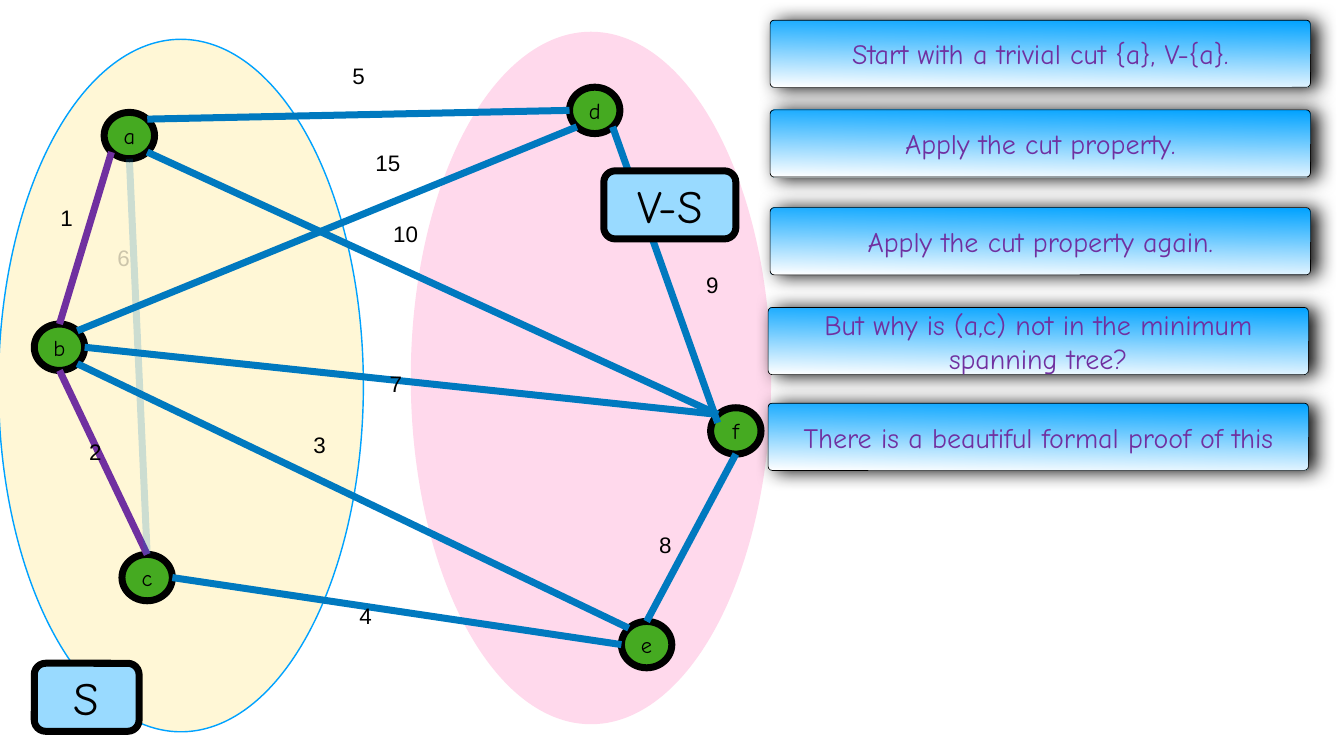
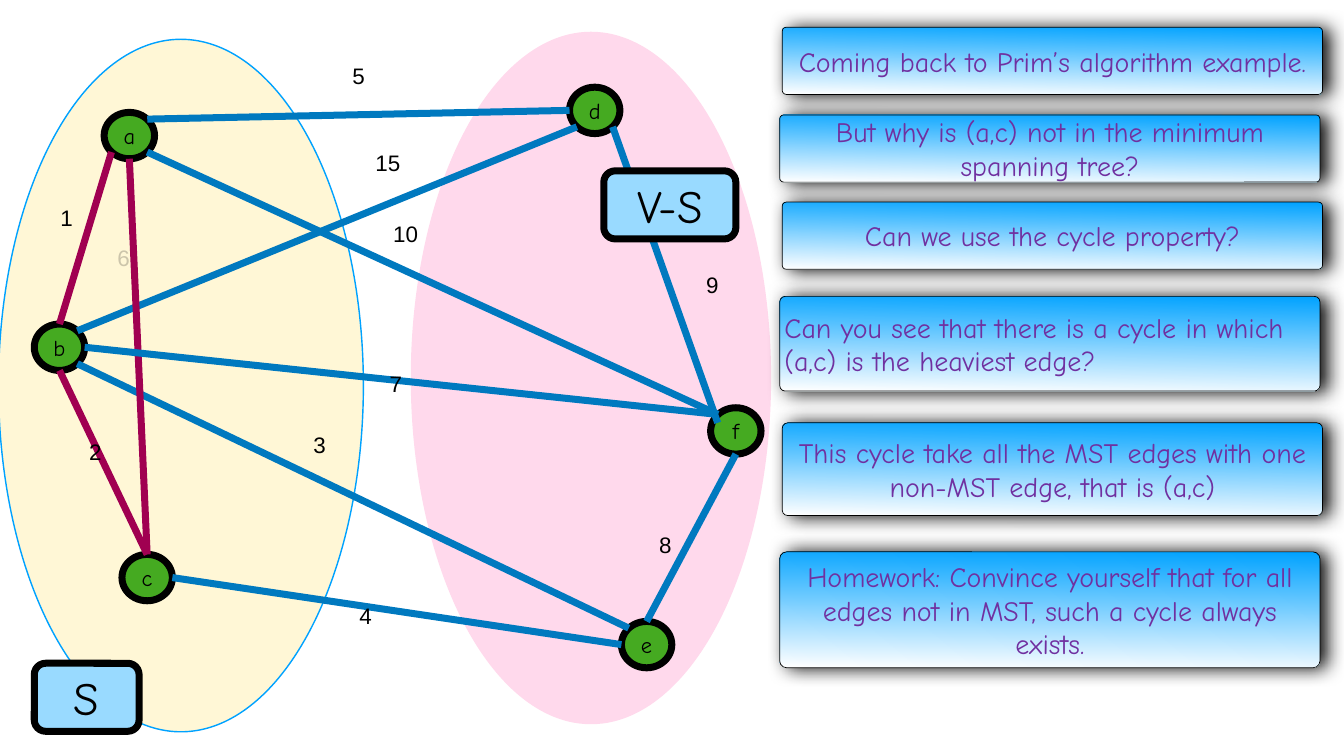
"""Build two slides on the cut and cycle properties of a minimum spanning tree."""
from lxml.etree import SubElement
from pptx import Presentation
from pptx.dml.color import RGBColor
from pptx.enum.shapes import MSO_CONNECTOR, MSO_SHAPE
from pptx.enum.text import MSO_ANCHOR, MSO_AUTO_SIZE, PP_ALIGN
from pptx.oxml.ns import qn
from pptx.util import Inches, Pt

COLS, ROWS = 80, 45
CELL = Inches(15) / ROWS
BLACK = RGBColor(0x00, 0x00, 0x00)
WHITE = RGBColor(0xFF, 0xFF, 0xFF)
CREAM = RGBColor(0xFF, 0xF7, 0xD6)
PINK = RGBColor(0xFF, 0xD9, 0xEC)
SKY = RGBColor(0x00, 0xA2, 0xFF)
PALE = RGBColor(0x99, 0xDA, 0xFF)
GREEN = RGBColor(0x45, 0xAA, 0x21)
BLUE = RGBColor(0x00, 0x79, 0xBF)
PURPLE = RGBColor(0x70, 0x30, 0xA0)
WINE = RGBColor(0xA0, 0x00, 0x51)
HAND, PLAIN = "Comic Neue", "Arial"
THICK = 10
FAINT = 20

NODES = {"a": (7.7, 8.07), "d": (35.4, 6.57), "b": (3.54, 20.67),
         "c": (8.76, 34.38), "e": (38.49, 38.37), "f": (43.8, 25.65)}
RAD_X, RAD_Y = 1.5, 1.38
SITES = {"n": (0, -1), "s": (0, 1), "w": (-1, 0), "e": (1, 0),
         "nw": (-0.71, -0.71), "ne": (0.71, -0.71),
         "sw": (-0.71, 0.71), "se": (0.71, 0.71), "in": (-0.72, -0.35)}
EDGES = [("d", "se", "f", "in"), ("f", "nw", "a", "se"), ("d", "sw", "b", "ne"),
         ("c", "n", "b", "s"), ("e", "nw", "b", "se"), ("f", "s", "e", "n"),
         ("b", "n", "a", "sw"), ("d", "w", "a", "ne"), ("c", "n", "a", "s"),
         ("c", "e", "e", "w"), ("f", "nw", "b", "e")]
TREE = ["cb", "ba"]
CHORD = "ca"
COSTS = {"6": (6.81, 13.56), "10": (23.22, 12.18), "9": (41.85, 15.18),
         "1": (3.42, 11.19), "4": (21.21, 34.89), "3": (18.48, 24.72),
         "7": (23.01, 21.09), "8": (39.06, 30.69), "5": (20.79, 2.73),
         "2": (5.13, 25.14), "15": (22.17, 7.95)}

CUT_CARDS = [
    (45.84, 1.2, 4, "Start with a trivial cut {a}, V-{a}."),
    (45.84, 6.54, 4, "Apply the cut property."),
    (45.84, 12.36, 4, "Apply the cut property again."),
    (45.72, 18.3, 4, "But why is (a,c) not in the minimum spanning tree?"),
    (45.72, 24, 4, "There is a beautiful formal proof of this"),
]
LOOP_CARDS = [
    (46.56, 1.62, 4, "Coming back to Prim’s algorithm example."),
    (46.41, 6.84, 4, "But why is (a,c) not in the minimum spanning tree?"),
    (46.56, 12.03, 4, "Can we use the cycle property?"),
    (46.41, 17.64, 5.64, "Can you see that there is a cycle in which (a,c) is the heaviest edge?",
     PP_ALIGN.LEFT),
    (46.56, 25.17, 5.52, "This cycle take all the MST edges with one non-MST edge, that is (a,c)"),
    (46.41, 32.85, 6.9, "Homework: Convince yourself that for all edges not in MST, "
                        "such a cycle always exists."),
]


def cells(*sizes):
    """Turn grid cells into lengths."""
    return [round(size * CELL) for size in sizes]


def fade(item, share):
    """Set the opacity, in percent, of each plain colour in an element."""
    for tint in item.iter(qn("a:srgbClr")):
        SubElement(tint, qn("a:alpha"), val=str(share * 1000))


class Deck:
    """Hold the style and the current slide."""

    def __init__(self):
        """Open an empty deck."""
        self.show = Presentation()
        self.show.slide_width, self.show.slide_height = cells(COLS, ROWS)

    def start(self):
        """Add a blank slide."""
        self.slide = self.show.slides.add_slide(self.show.slide_layouts[6])

    def label(self, shape, text, size, font=HAND, tint=BLACK, align=PP_ALIGN.CENTER):
        """Put styled text in a shape."""
        frame = shape.text_frame
        frame.text = text
        frame.word_wrap = True
        frame.vertical_anchor = MSO_ANCHOR.MIDDLE
        frame.margin_left = frame.margin_right = Inches(0.06)
        frame.margin_top = frame.margin_bottom = Inches(0.06)
        line = frame.paragraphs[0]
        line.alignment = align
        style = line.runs[0].font
        style.size, style.name = Pt(size), font
        style.color.rgb = tint
        return line

    def shape(self, kind, spot, fill=None, edge=None, width=THICK):
        """Draw a preset shape with no shadow."""
        shape = self.slide.shapes.add_shape(kind, *cells(*spot))
        shape.shadow.inherit = False
        if fill is not None:
            shape.fill.solid()
            shape.fill.fore_color.rgb = fill
        if edge is None:
            shape.line.fill.background()
        else:
            shape.line.color.rgb = edge
            shape.line.width = Pt(width)
        return shape

    def node(self, name):
        """Draw a graph node."""
        x, y = NODES[name]
        spot = x - RAD_X, y - RAD_Y, 2 * RAD_X, 2 * RAD_Y
        self.label(self.shape(MSO_SHAPE.OVAL, spot, GREEN, BLACK), name, 32)

    def sign(self, spot, text):
        """Draw the name box of a vertex set."""
        box = self.shape(MSO_SHAPE.ROUNDED_RECTANGLE, spot, PALE, BLACK)
        self.label(box, text, 66)

    def site(self, name, side):
        """Find a point on the rim of a node."""
        x, y = NODES[name]
        dx, dy = SITES[side]
        return cells(x + dx * RAD_X, y + dy * RAD_Y)

    def edge(self, tail, out, head, into, tint, share=100):
        """Join two nodes."""
        line = self.slide.shapes.add_connector(
            MSO_CONNECTOR.STRAIGHT, *self.site(tail, out), *self.site(head, into))
        line.line.color.rgb = tint
        line.line.width = Pt(THICK)
        SubElement(line.element.spPr, qn("a:effectLst"))
        if share < 100:
            fade(line.element, share)

    def cost(self, text, x, y):
        """Show the weight of an edge."""
        width = 1.14 + 0.48 * len(text)
        box = self.slide.shapes.add_textbox(*cells(x, y, width, 3.69))
        line = self.label(box, text, 32, PLAIN, align=PP_ALIGN.LEFT)
        line.line_spacing = 0.9
        line.space_before = Pt(45)
        box.text_frame.auto_size = MSO_AUTO_SIZE.SHAPE_TO_FIT_TEXT
        if text == "6":
            fade(box.element, FAINT)

    def card(self, x, y, height, text, align=PP_ALIGN.CENTER):
        """Draw a shaded card with a note."""
        card = self.shape(MSO_SHAPE.ROUNDED_RECTANGLE, (x, y, 32.16, height), None, BLACK, 1)
        card.adjustments[0] = 0.06
        card.fill.gradient()
        card.fill.gradient_angle = 269
        for stop, place, tint in zip(card.fill.gradient_stops, (0, 1), (SKY, WHITE)):
            stop.position = place
            stop.color.rgb = tint
        glow = SubElement(card.element.spPr.find(qn("a:effectLst")), qn("a:outerShdw"),
                          blurRad=str(Pt(28)), dist=str(Pt(9)), dir="0", rotWithShape="0")
        SubElement(glow, qn("a:srgbClr"), val=str(BLACK))
        fade(glow, 97)
        self.label(card, text, 40, tint=PURPLE, align=align)

    def graph(self, tree, chord, share):
        """Draw the cut graph with its tree edges and chord tinted."""
        self.shape(MSO_SHAPE.OVAL, (-0.09, 2.34, 21.72, 41.22), CREAM, SKY, 2)
        self.shape(MSO_SHAPE.OVAL, (24.45, 1.89, 21.45, 41.22), PINK)
        self.sign((2.04, 39.48, 6.24, 4.05), "S")
        for name in NODES:
            self.node(name)
        tints = dict.fromkeys(TREE, tree) | {CHORD: chord}
        for tail, out, head, into in EDGES:
            pair = tail + head
            self.edge(tail, out, head, into, tints.get(pair, BLUE),
                      share if pair == CHORD else 100)
        self.sign((35.94, 10.17, 7.86, 4.05), "V-S")
        for text, spot in COSTS.items():
            self.cost(text, *spot)


def main():
    """Build and save the deck."""
    deck = Deck()
    for tree, chord, share, cards in ((PURPLE, BLUE, FAINT, CUT_CARDS),
                                      (WINE, WINE, 100, LOOP_CARDS)):
        deck.start()
        deck.graph(tree, chord, share)
        for card in cards:
            deck.card(*card)
    deck.show.save("out.pptx")


if __name__ == "__main__":
    main()
